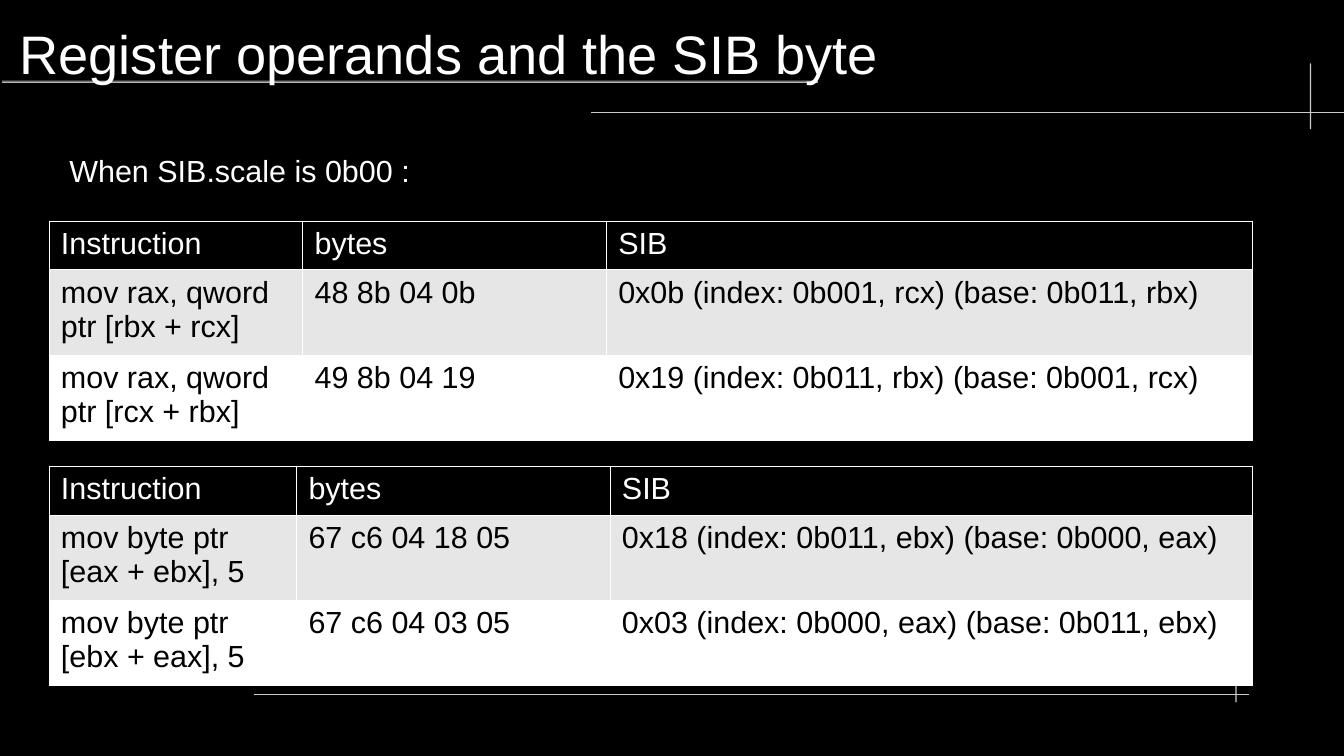
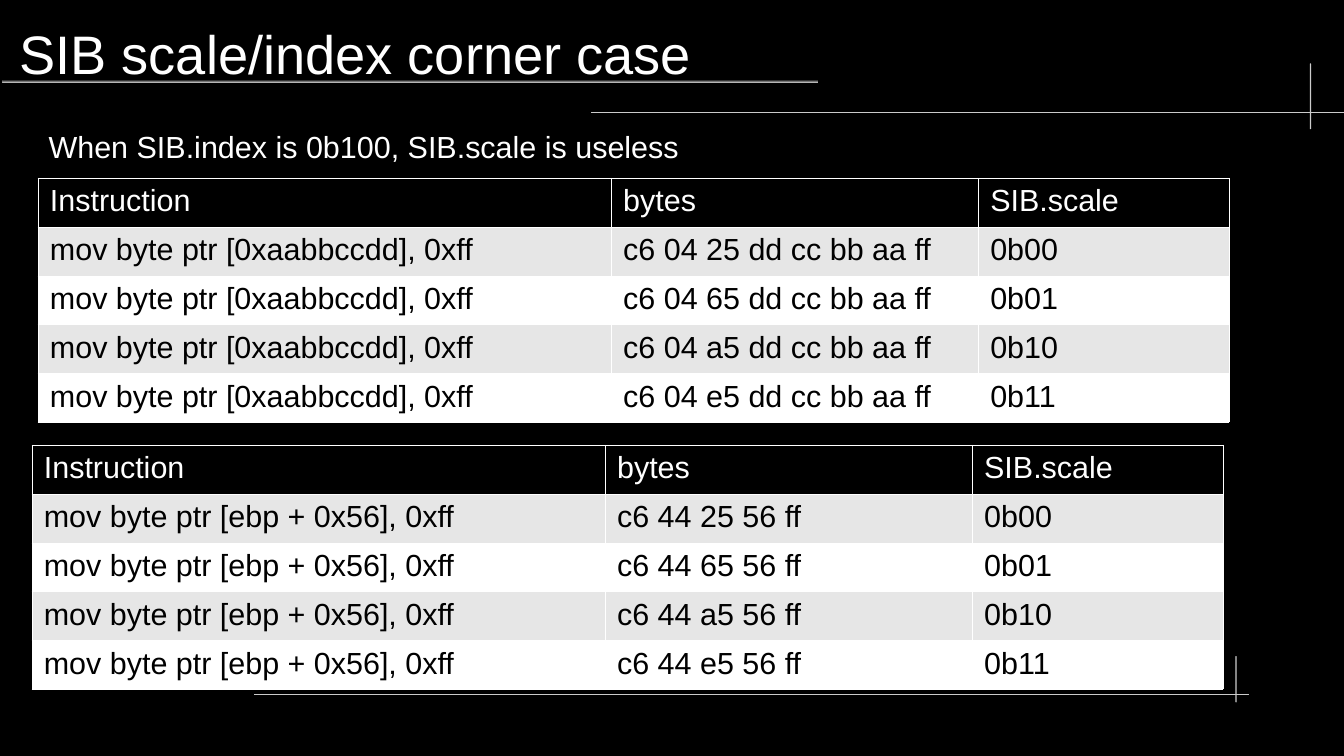
from lxml import etree
from pptx import Presentation
from pptx import util as u
from pptx.dml.color import RGBColor
from pptx.enum import shapes, text
from pptx.oxml import ns

BLACK = RGBColor(0x00, 0x00, 0x00)
WHITE = RGBColor(0xFF, 0xFF, 0xFF)
BAND = RGBColor(0xE6, 0xE6, 0xE6)
LIGHT = RGBColor(0xCC, 0xCC, 0xCC)
DARK = RGBColor(0x33, 0x33, 0x33)

FONT = "Arial"
TITLE_SIZE = 32
BODY_SIZE = 18
BORDER_WIDTH = 0.06
HEADER_HEIGHT = 0.4

RULES = [
    ((0.02, 0.66, 6.69, 0.02), (LIGHT, DARK)),
    ((4.85, 0.92, 6.17, 0.01), (DARK, LIGHT)),
    ((10.74, 0.52, 0.01, 0.54), (LIGHT,)),
    ((2.08, 5.69, 8.16, 0.01), (DARK, LIGHT)),
    ((10.13, 5.38, 0.01, 0.38), (LIGHT,)),
]


def apply(target, values):
    """Set attributes of an object from a dict."""
    for name, value in values.items():
        setattr(target, name, value)


class Deck:
    """Dark slides with thin rules, a title, captions and banded tables."""

    def __init__(self, width, height):
        self.presentation = Presentation()
        apply(self.presentation, {"slide_width": u.Inches(width), "slide_height": u.Inches(height)})
        background = self.presentation.slide_master.background.fill
        background.solid()
        background.fore_color.rgb = BLACK
        self.slide = None

    def add_slide(self, title):
        self.slide = self.presentation.slides.add_slide(self.presentation.slide_layouts[6])
        for box, colors in RULES:
            self.rule(box, colors)
        self.text(title, (0.16, 0.08, 10.43, 0.71), TITLE_SIZE, (0, 0), text.MSO_ANCHOR.MIDDLE)

    def rule(self, box, colors):
        shape = self.slide.shapes.add_shape(
            shapes.MSO_SHAPE.ROUNDED_RECTANGLE, *map(u.Inches, box))
        shape.adjustments[0] = 0.5
        shape.shadow.inherit = False
        shape.line.fill.background()
        if len(colors) == 1:
            shape.fill.solid()
            shape.fill.fore_color.rgb = colors[0]
            return
        shape.fill.gradient()
        shape.fill.gradient_angle = 90
        for stop, color in zip(shape.fill.gradient_stops, colors):
            stop.color.rgb = color

    def add_run(self, frame, content, size, color):
        run = frame.paragraphs[0].add_run()
        run.text = content
        apply(run.font, {"name": FONT, "size": u.Pt(size)})
        run.font.color.rgb = color

    def text(self, content, box, size=BODY_SIZE, margins=(0.1, 0.05), anchor=text.MSO_ANCHOR.TOP):
        frame = self.slide.shapes.add_textbox(*map(u.Inches, box)).text_frame
        side, end = map(u.Inches, margins)
        apply(frame, {
            "word_wrap": True, "vertical_anchor": anchor,
            "margin_left": side, "margin_right": side,
            "margin_top": end, "margin_bottom": end,
        })
        self.add_run(frame, content, size, WHITE)

    def border(self, cell):
        properties = cell._tc.get_or_add_tcPr()
        for index, edge in enumerate(("a:lnL", "a:lnR", "a:lnT", "a:lnB")):
            line = etree.Element(ns.qn(edge), w=str(u.Pt(BORDER_WIDTH)))
            fill = etree.SubElement(line, ns.qn("a:solidFill"))
            etree.SubElement(fill, ns.qn("a:srgbClr"), val=str(WHITE))
            properties.insert(index, line)

    def table(self, left, top, widths, row_height, rows):
        heights = [HEADER_HEIGHT] + [row_height] * (len(rows) - 1)
        box = (left, top, sum(widths), sum(heights))
        table = self.slide.shapes.add_table(len(rows), len(widths), *map(u.Inches, box)).table
        for column, width in zip(table.columns, widths):
            column.width = u.Inches(width)
        for row_index, values in enumerate(rows):
            table.rows[row_index].height = u.Inches(heights[row_index])
            header = row_index == 0
            background = BLACK if header else BAND if row_index % 2 else WHITE
            for column_index, value in enumerate(values):
                cell = table.cell(row_index, column_index)
                cell.fill.solid()
                cell.fill.fore_color.rgb = background
                self.border(cell)
                self.add_run(cell.text_frame, value, BODY_SIZE, WHITE if header else BLACK)


def build_operands(deck):
    """Build the slide on register operands."""
    header = ("Instruction", "bytes", "SIB")
    deck.add_slide("Register operands and the SIB byte")
    deck.table(0.4, 1.81, (2.08, 2.49, 5.3), 0.7, [
        header,
        ("mov rax, qword ptr [rbx + rcx]", "48 8b 04 0b", "0x0b (index: 0b001, rcx) (base: 0b011, rbx)"),
        ("mov rax, qword ptr [rcx + rbx]", "49 8b 04 19", "0x19 (index: 0b011, rbx) (base: 0b001, rcx)"),
    ])
    deck.table(0.4, 3.82, (2.03, 2.57, 5.27), 0.7, [
        header,
        ("mov byte ptr [eax + ebx], 5", "67 c6 04 18 05", "0x18 (index: 0b011, ebx) (base: 0b000, eax)"),
        ("mov byte ptr [ebx + eax], 5", "67 c6 04 03 05", "0x03 (index: 0b000, eax) (base: 0b011, ebx)"),
    ])
    deck.text("When SIB.scale is 0b00\u00a0:", (0.47, 1.2, 9.52, 0.38))


def build_corner_case(deck):
    """Build the slide on scale values that change nothing."""
    scales = (("25", "0b00"), ("65", "0b01"), ("a5", "0b10"), ("e5", "0b11"))
    deck.add_slide("SIB scale/index corner case")
    deck.text("When SIB.index is 0b100, SIB.scale is useless", (0.3, 1, 7.02, 0.38))
    for left, top, operand, opcode, tail in (
        (0.26, 3.65, "ebp + 0x56", "c6 44", "56 ff"),
        (0.31, 1.46, "0xaabbccdd", "c6 04", "dd cc bb aa ff"),
    ):
        rows = [(f"mov byte ptr [{operand}], 0xff", f"{opcode} {sib} {tail}", scale)
                for sib, scale in scales]
        deck.table(left, top, (4.7, 3.01, 2.06), 0.4, [("Instruction", "bytes", "SIB.scale")] + rows)


deck = Deck(11.02, 6.2)
build_operands(deck)
build_corner_case(deck)
deck.presentation.save("out.pptx")
